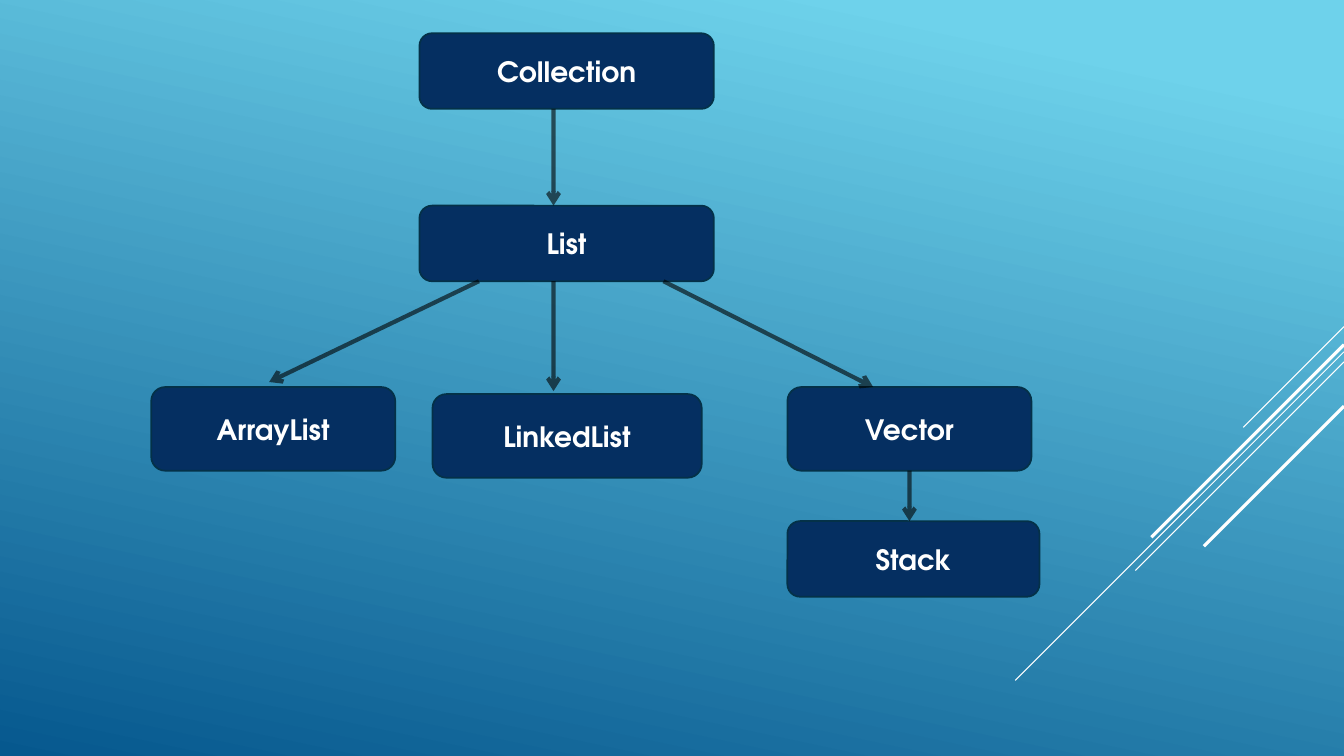
from lxml import etree
from pptx import Presentation
from pptx.dml.color import RGBColor
from pptx.enum.shapes import MSO_CONNECTOR, MSO_SHAPE
from pptx.enum.text import MSO_ANCHOR, PP_ALIGN
from pptx.oxml.ns import qn
from pptx.util import Inches, Pt

STRAIGHT = MSO_CONNECTOR.STRAIGHT
ROUNDED = MSO_SHAPE.ROUNDED_RECTANGLE
MIDDLE = MSO_ANCHOR.MIDDLE
CENTER = PP_ALIGN.CENTER

COLORS = {
    "sky": "6ED2EB",
    "deep": "06588E",
    "box": "052F61",
    "border": "043148",
    "white": "FFFFFF",
    "arrow": "000000",
}
WIDTH, HEIGHT = 13.33, 7.5
GRADIENT = [("sky", 0.1), ("deep", 1)]
GRADIENT_ANGLE = 258
ARROW_OPACITY = 60
LABEL_FORMAT = {"name": "TeX Gyre Adventor", "size": Pt(20), "bold": True}

STRIPES = [
    (3.24, 1.0, 0.75),
    (3.49, 3.26, 0.75),
    (3.59, 2.07, 0.75),
    (3.42, 1.91, 2.25),
    (4.03, 1.39, 2.25),
]
BOXES = [
    ("Collection", 4.16, 0.33, 2.92, 0.75),
    ("List", 4.16, 2.04, 2.92, 0.75),
    ("ArrayList", 1.5, 3.84, 2.42, 0.83),
    ("Stack", 7.81, 5.17, 2.5, 0.75),
    ("LinkedList", 4.29, 3.91, 2.67, 0.83),
    ("Vector", 7.81, 3.84, 2.42, 0.83),
]
ARROWS = [
    (5.49, 1.08, 5.49, 2.04),
    (4.75, 2.79, 2.67, 3.79),
    (5.49, 2.79, 5.49, 3.88),
    (6.58, 2.79, 8.66, 3.84),
    (9.02, 4.67, 9.02, 5.17),
]


def color(name):
    return RGBColor.from_string(COLORS[name])


def paint_background(slide):
    fill = slide.background.fill
    fill.gradient()
    fill.gradient_angle = GRADIENT_ANGLE
    for stop, (name, position) in zip(fill.gradient_stops, GRADIENT):
        stop.color.rgb = color(name)
        stop.position = position


def add_line(slide, ends, name, weight):
    connector = slide.shapes.add_connector(STRAIGHT, *map(Inches, ends))
    connector.line.color.rgb = color(name)
    connector.line.width = Pt(weight)
    etree.SubElement(connector.element.spPr, qn("a:effectLst"))
    return connector


def add_arrow(slide, ends):
    properties = add_line(slide, ends, "arrow", 3).element.spPr
    outline = properties.find(qn("a:ln"))
    paint = outline.find(".//" + qn("a:srgbClr"))
    etree.SubElement(paint, qn("a:alpha"), val=str(ARROW_OPACITY * 1000))
    etree.SubElement(outline, qn("a:tailEnd"), type="arrow")


def add_box(slide, label, *bounds):
    shape = slide.shapes.add_shape(ROUNDED, *map(Inches, bounds))
    shape.shadow.inherit = False
    shape.fill.solid()
    shape.fill.fore_color.rgb = color("box")
    shape.line.color.rgb = color("border")
    shape.line.width = Pt(1.25)
    shape.text_frame.vertical_anchor = MIDDLE
    paragraph = shape.text_frame.paragraphs[0]
    paragraph.alignment = CENTER
    run = paragraph.add_run()
    run.text = label
    run.font.color.rgb = color("white")
    for attribute, value in LABEL_FORMAT.items():
        setattr(run.font, attribute, value)


def main():
    presentation = Presentation()
    presentation.slide_width = Inches(WIDTH)
    presentation.slide_height = Inches(HEIGHT)
    slide = presentation.slides.add_slide(presentation.slide_layouts[6])
    paint_background(slide)
    for top, span, weight in STRIPES:
        add_line(slide, (WIDTH, top, WIDTH - span, top + span), "white", weight)
    for box in BOXES:
        add_box(slide, *box)
    for ends in ARROWS:
        add_arrow(slide, ends)
    presentation.save("out.pptx")


if __name__ == "__main__":
    main()
